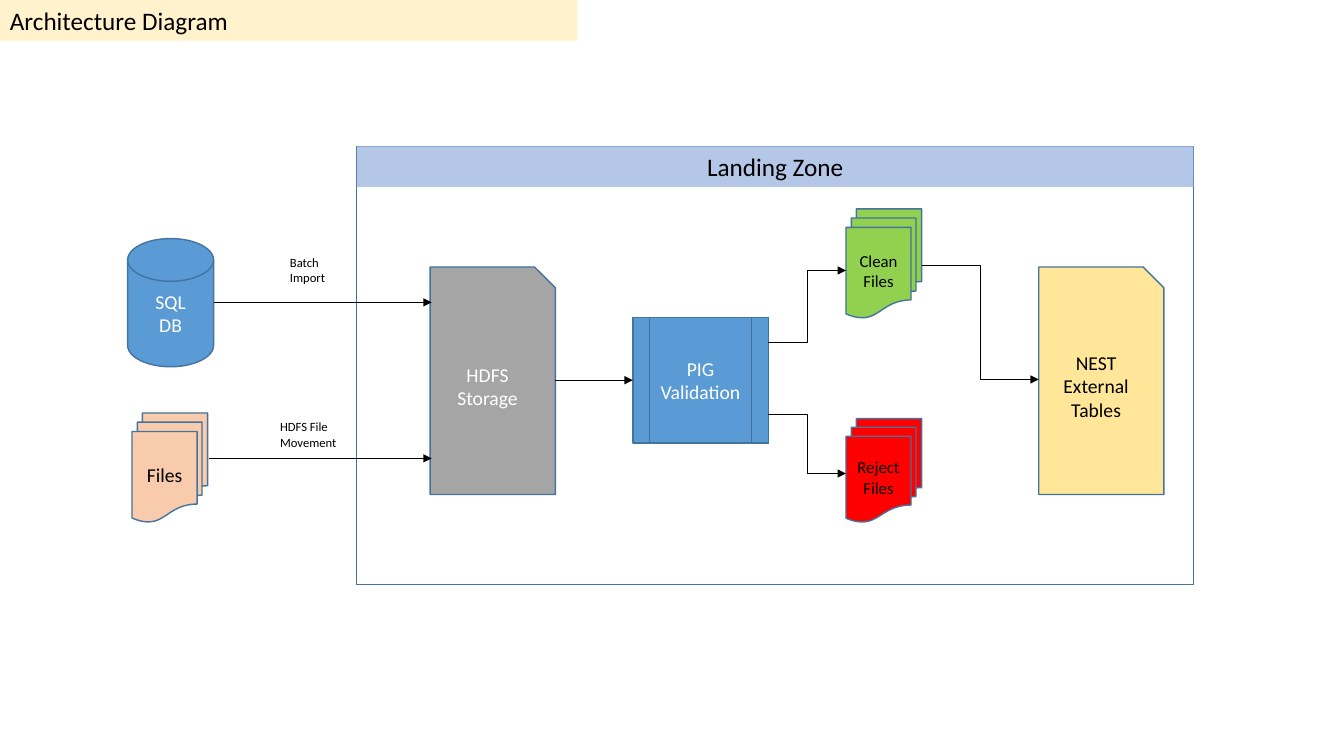
"""Builds the architecture diagram slide of a data landing zone."""
import pptx
import pptx.util
import pptx.dml.color
import pptx.enum.shapes
import pptx.enum.text
import lxml.etree

Pt = pptx.util.Pt
Kind = pptx.enum.shapes.MSO_SHAPE
Link = pptx.enum.shapes.MSO_CONNECTOR
Align = pptx.enum.text.PP_ALIGN
Anchor = pptx.enum.text.MSO_ANCHOR
Fit = pptx.enum.text.MSO_AUTO_SIZE

HUES = {
    "blue": "5B9BD5", "edge": "43739E", "pale": "B4C7E7", "gray": "A5A5A5",
    "peach": "F8CBAD", "green": "92D050", "red": "FF0000", "sand": "FFE699",
    "cream": "FFF2CC", "white": "FFFFFF", "black": "000000",
}


class Slide:
    """Holds the style and the slide, and draws each kind of element."""

    def __init__(self, deck, font):
        self.shapes = deck.slides.add_slide(deck.slide_layouts[6]).shapes
        self.font = font

    def hue(self, name):
        return pptx.dml.color.RGBColor.from_string(HUES[name])

    def words(self, shape, text, size, ink, align, **form):
        frame = shape.text_frame
        for key, value in {"word_wrap": True, **form}.items():
            setattr(frame, key, value)
        para = frame.paragraphs[0]
        para.text = text
        para.alignment = align
        for run in para.runs:
            for key, value in {"name": self.font, "size": Pt(size)}.items():
                setattr(run.font, key, value)
            run.font.color.rgb = self.hue(ink)

    def shape(self, kind, box, fill=None, edge="edge"):
        shape = self.shapes.add_shape(kind, *map(Pt, box))
        shape.shadow.inherit = False
        if fill:
            shape.fill.solid()
            shape.fill.fore_color.rgb = self.hue(fill)
        else:
            shape.fill.background()
        if edge:
            shape.line.color.rgb = self.hue(edge)
            shape.line.width = Pt(1)
        else:
            shape.line.fill.background()
        return shape

    def node(self, kind, box, fill, text, ink="black", size=14):
        shape = self.shape(kind, box, fill)
        self.words(shape, text, size, ink, Align.CENTER, vertical_anchor=Anchor.MIDDLE)

    def band(self, box, fill, text, align):
        shape = self.shape(Kind.RECTANGLE, box, fill, None)
        self.words(shape, text, 18, "black", align, vertical_anchor=Anchor.TOP,
                   auto_size=Fit.SHAPE_TO_FIT_TEXT)

    def label(self, box, text):
        shape = self.shapes.add_textbox(*map(Pt, box))
        self.words(shape, text, 9, "black", Align.LEFT, auto_size=Fit.SHAPE_TO_FIT_TEXT)

    def arrow(self, kind, *ends):
        link = self.shapes.add_connector(kind, *map(Pt, ends))
        link.line.color.rgb = self.hue("black")
        link.line.width = Pt(0.5)
        space = "{http://schemas.openxmlformats.org/drawingml/2006/main}"
        props = link._element.spPr
        lxml.etree.SubElement(props.find(space + "ln"), space + "tailEnd", type="triangle")
        lxml.etree.SubElement(props, space + "effectLst")


deck = pptx.Presentation()
deck.slide_width, deck.slide_height = Pt(960), Pt(540)
slide = Slide(deck, "Calibri")

slide.shape(Kind.RECTANGLE, (254.9, 104.5, 597.6, 313))
slide.band((254.9, 104.5, 597.6, 29), "pale", "Landing Zone", Align.CENTER)
slide.band((0, 0, 412.5, 29), "cream", "Architecture Diagram", Align.LEFT)

slide.label((200, 178.5, 43.5, 29), "Batch Import")
slide.label((193, 296, 57.6, 29), "HDFS File Movement")

files = Kind.FLOWCHART_MULTIDOCUMENT
store = Kind.SNIP_1_RECTANGLE
for node in (
    (Kind.FLOWCHART_MAGNETIC_DISK, (91.2, 170.4, 61.4, 91.6), "blue", "SQL\vDB", "white"),
    (files, (94.3, 295, 54, 78), "peach", "Files"),
    (store, (307.3, 190.7, 89.4, 162.5), "gray", "HDFS Storage", "white"),
    (Kind.FLOWCHART_PREDEFINED_PROCESS, (452, 227, 96.8, 89.4), "blue",
     "PIG Validation", "white"),
    (files, (604.3, 149.2, 54, 78), "green", "Clean Files", "black", 12),
    (files, (604.3, 299, 54, 74), "red", "Reject Files", "black", 12),
    (store, (742, 190.7, 89.4, 162.5), "sand", "NEST External Tables"),
):
    slide.node(*node)

for ends in ((152.6, 216, 308.3, 216), (149, 327.4, 308.3, 327.4),
             (396.7, 271.6, 452, 271.6)):
    slide.arrow(Link.STRAIGHT, *ends)
for ends in ((548.8, 244.6, 604.3, 193.2), (548.8, 296, 604.3, 338.2),
             (658.5, 189.8, 742, 271)):
    slide.arrow(Link.ELBOW, *ends)

deck.save("out.pptx")
